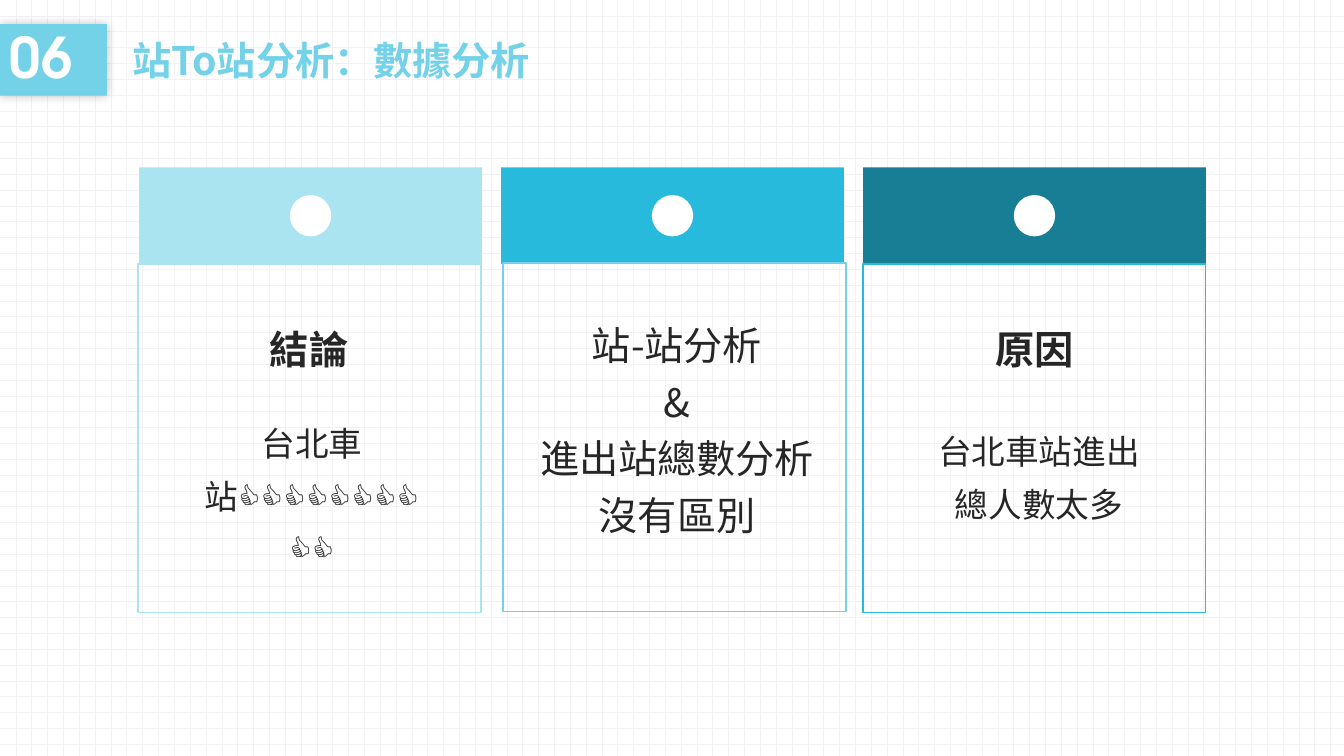
from lxml.etree import SubElement
from pptx import Presentation
from pptx.dml.color import RGBColor
from pptx.enum.dml import MSO_PATTERN
from pptx.enum.shapes import MSO_SHAPE
from pptx.enum.text import MSO_ANCHOR, MSO_AUTO_SIZE, PP_ALIGN
from pptx.oxml.ns import qn
from pptx.util import Inches, Pt

COLORS = {
    "white": "FFFFFF", "grid": "F2F2F2", "ink": "262626", "black": "000000",
    "sky": "73D2E8", "pale": "ABE4F1", "bright": "28BADC", "deep": "187E95",
}
CJK = "Noto Sans CJK SC"
LATIN = "TeX Gyre Adventor"
WIDTH, HEIGHT = 13.33, 7.5
HEADER_TOP, HEADER_HEIGHT = 0.24, 0.71
CARD_LEFT, CARD_TOP, CARD_WIDTH, CARD_PITCH = 1.38, 1.66, 3.4, 3.59
BAND_HEIGHT, FRAME_HEIGHT, DOT = 0.96, 3.46, 0.41

HEADING = {"size": 28, "name": LATIN, "bold": True, "spacing": 1.3, "wrap": False}
DETAIL = {"size": 24, "name": CJK, "bold": False, "spacing": 1.3, "wrap": True}
FINDING = {"size": 28, "name": CJK, "bold": False, "spacing": 1.2, "wrap": True}

CARDS = [
    {"band": "pale", "edge": "pale", "shift": (-0.01, 0), "texts": [
        ((0.48, 2.37, 2.47, 1.68), ["台北車站" + "👍" * 10], DETAIL),
        ((1.19, 1.38, 0.99, 0.71), ["結論"], HEADING)]},
    {"band": "bright", "edge": "sky", "shift": (0.02, -0.01), "texts": [
        ((0.2, 1.39, 3.09, 2.36), ["站-站分析", "&", "進出站總數分析", "沒有區別"], FINDING)]},
    {"band": "deep", "edge": "bright", "shift": (0, 0), "texts": [
        ((1.21, 1.38, 0.99, 0.65), ["原因"], HEADING),
        ((0.51, 2.45, 2.47, 1.15), ["台北車站進出總人數太多"], DETAIL)]},
]


def rgb(color):
    return RGBColor.from_string(COLORS[color])


def add_block(slide, kind, box, fill=None, edge=None):
    block = slide.shapes.add_shape(kind, *map(Inches, box))
    block.shadow.inherit = False
    if fill:
        block.fill.solid()
        block.fill.fore_color.rgb = rgb(fill)
    else:
        block.fill.background()
    if edge:
        block.line.color.rgb = rgb(edge)
        block.line.width = Pt(1)
    else:
        block.line.fill.background()
    return block


def write(frame, lines, style, color, align, anchor):
    frame.word_wrap = style["wrap"]
    frame.auto_size = MSO_AUTO_SIZE.NONE
    frame.vertical_anchor = anchor
    for index, line in enumerate(lines):
        paragraph = frame.paragraphs[0] if index == 0 else frame.add_paragraph()
        for name, value in {"alignment": align, "line_spacing": style["spacing"],
                            "space_before": Pt(0)}.items():
            setattr(paragraph, name, value)
        run = paragraph.add_run()
        run.text = line
        for name, value in {"size": Pt(style["size"]), "bold": style["bold"],
                            "name": style["name"]}.items():
            setattr(run.font, name, value)
        run.font.color.rgb = rgb(color)
        SubElement(run.font._element, qn("a:ea"), typeface=CJK)


def add_glow(block):
    effects = block._element.spPr.find(qn("a:effectLst"))
    shadow = SubElement(effects, qn("a:outerShdw"), blurRad=str(Pt(7)), dist="0",
                        algn="ctr", rotWithShape="0")
    tint = SubElement(shadow, qn("a:srgbClr"), val=COLORS["black"])
    SubElement(tint, qn("a:alpha"), val="25000")


def build_header(slide, top, height):
    number = add_block(slide, MSO_SHAPE.RECTANGLE, (0, top, 1.06, height), "sky")
    add_glow(number)
    write(number.text_frame, ["06"],
          {"size": 40, "name": LATIN, "bold": True, "spacing": 0.9, "wrap": True},
          "white", PP_ALIGN.LEFT, MSO_ANCHOR.MIDDLE)
    title = slide.shapes.title
    for name, value in {"left": 1.21, "top": top, "width": 7.04, "height": height}.items():
        setattr(title, name, Inches(value))
    write(title.text_frame, ["站To站分析：數據分析"],
          {"size": 28, "name": CJK, "bold": True, "spacing": 1.0, "wrap": True},
          "sky", PP_ALIGN.LEFT, MSO_ANCHOR.MIDDLE)


def build_card(slide, left, top, width, card):
    shift_x, shift_y = card["shift"]
    add_block(slide, MSO_SHAPE.RECTANGLE, (left, top, width, BAND_HEIGHT), card["band"])
    add_block(slide, MSO_SHAPE.RECTANGLE,
              (left + shift_x, top + BAND_HEIGHT + shift_y, width, FRAME_HEIGHT),
              edge=card["edge"])
    add_block(slide, MSO_SHAPE.OVAL,
              (left + (width - DOT) / 2, top + (BAND_HEIGHT - DOT) / 2, DOT, DOT), "white")
    for (x, y, w, h), lines, style in card["texts"]:
        text = slide.shapes.add_textbox(*map(Inches, (left + x, top + y, w, h)))
        write(text.text_frame, lines, style, "ink", PP_ALIGN.CENTER, MSO_ANCHOR.TOP)


def main():
    deck = Presentation()
    deck.slide_width, deck.slide_height = Inches(WIDTH), Inches(HEIGHT)
    slide = deck.slides.add_slide(deck.slide_layouts[5])
    paper = slide.background.fill
    paper.patterned()
    paper.pattern = MSO_PATTERN.DOTTED_GRID
    paper.fore_color.rgb = rgb("grid")
    paper.back_color.rgb = rgb("white")
    build_header(slide, HEADER_TOP, HEADER_HEIGHT)
    for column, card in enumerate(CARDS):
        build_card(slide, CARD_LEFT + column * CARD_PITCH, CARD_TOP, CARD_WIDTH, card)
    deck.save("out.pptx")


if __name__ == "__main__":
    main()
